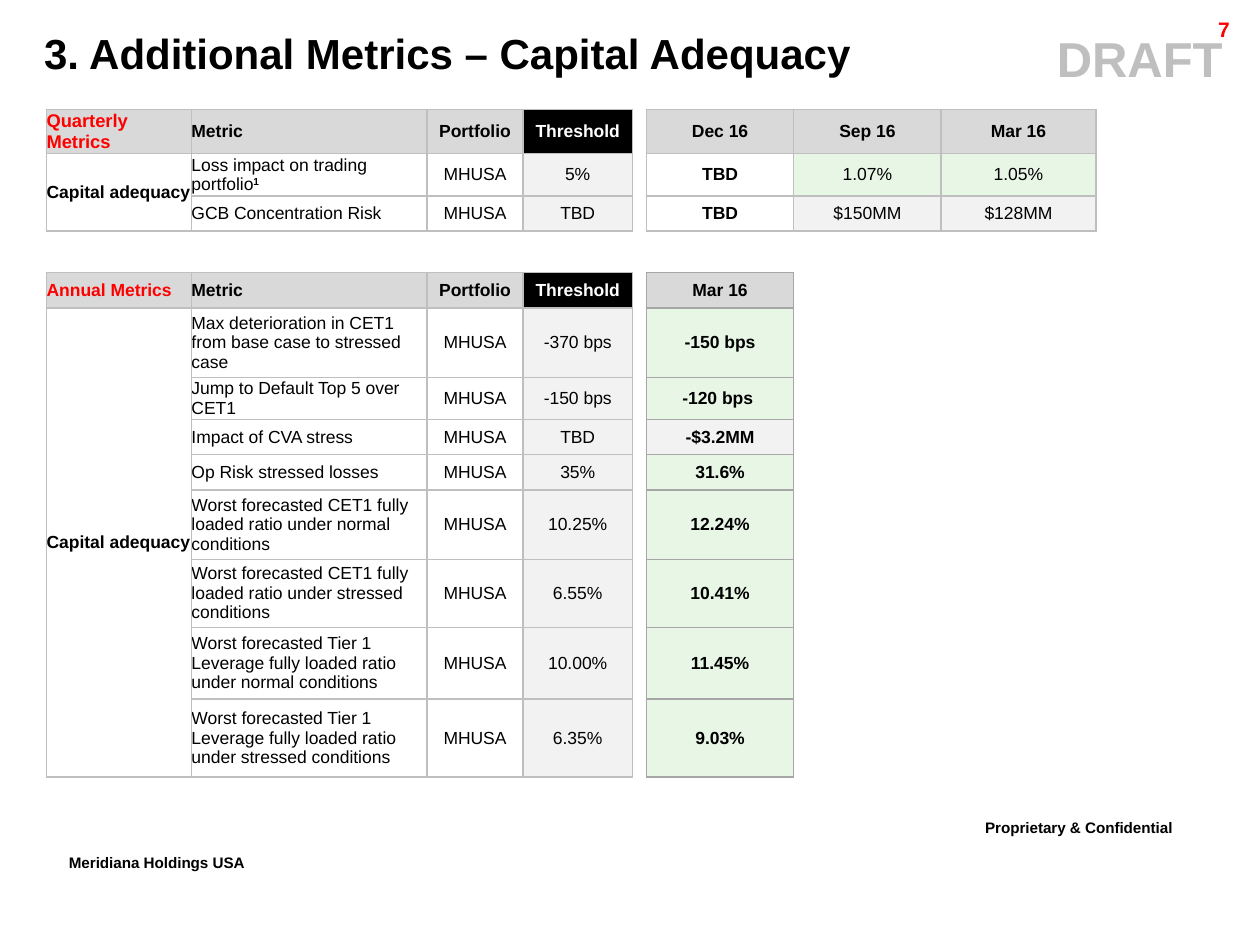
from lxml.etree import SubElement
from pptx import Presentation
from pptx.dml.color import RGBColor
from pptx.enum.text import MSO_ANCHOR, MSO_AUTO_SIZE, PP_ALIGN
from pptx.oxml.ns import qn
from pptx.util import Cm, Pt

COLORS = {
    "black": "000000", "white": "FFFFFF", "red": "FF0000",
    "header": "D9D9D9", "neutral": "F2F2F2", "good": "E8F6E6",
    "line": "BFBFBF", "annual_line": "A6A6A6", "draft": "BFBFBF",
}
FONT = "Arial"
SUPERSCRIPT = "30000"
NO_STYLE = "{2D5ABB26-0587-4C30-8999-92F81FD0307C}"
COLUMN_WIDTHS = [2.92, 4.75, 1.93, 2.21, 0.28, 2.97, 2.97, 3.12]
ROW_HEIGHTS = [0.74, 0.71, 0.71, 0.84, 0.71, 1.4, 0.71, 0.71, 0.71, 1.4, 1.37, 1.45, 1.57]
FIRST_VALUE_COLUMN = 5
PORTFOLIO = "MHUSA"
HEADINGS = ["Metric", "Portfolio", "Threshold"]

QUARTERLY = [
    ("Loss impact on trading portfolio", "5%",
     [("TBD", None), ("1.07%", "good"), ("1.05%", "good")]),
    ("GCB Concentration Risk", "TBD",
     [("TBD", None), ("$150MM", "neutral"), ("$128MM", "neutral")]),
]
ANNUAL = [
    ("Max deterioration in CET1 from base case to stressed case", "-370 bps", [("-150 bps", "good")]),
    ("Jump to Default Top 5 over CET1", "-150 bps", [("-120 bps ", "good")]),
    ("Impact of CVA stress", "TBD", [("-$3.2MM", "neutral")]),
    ("Op Risk stressed losses", "35%", [("31.6%", "good")]),
    ("Worst forecasted CET1 fully loaded ratio under normal conditions", "10.25%", [("12.24%", "good")]),
    ("Worst forecasted CET1 fully loaded ratio under stressed conditions", "6.55%", [("10.41%", "good")]),
    ("Worst forecasted Tier 1 Leverage fully loaded ratio under normal conditions", "10.00%",
     [("11.45%", "good")]),
    ("Worst forecasted Tier 1 Leverage fully loaded ratio under stressed conditions", "6.35%",
     [("9.03%", "good")]),
]


def rgb(name):
    return RGBColor.from_string(COLORS[name])


def format_run(run, size, color="black", bold=True):
    run.font.name = FONT
    run.font.size = Pt(size)
    run.font.bold = bold
    run.font.color.rgb = rgb(color)


def raise_run(run):
    run.font._element.set("baseline", SUPERSCRIPT)


def add_text(slide, text, left, top, width, height, size, color="black", wrap=True, grow=True):
    shape = slide.shapes.add_textbox(Cm(left), Cm(top), Cm(width), Cm(height))
    text_frame = shape.text_frame
    text_frame.text = text
    text_frame.word_wrap = wrap
    text_frame.auto_size = MSO_AUTO_SIZE.SHAPE_TO_FIT_TEXT if grow else MSO_AUTO_SIZE.NONE
    paragraph = text_frame.paragraphs[0]
    format_run(paragraph.runs[0], size, color)
    return paragraph


def set_borders(cell, color):
    properties = cell._tc.get_or_add_tcPr()
    for side in ("a:lnL", "a:lnR", "a:lnT", "a:lnB"):
        line = SubElement(properties, qn(side), w=str(Pt(1)))
        fill = SubElement(line, qn("a:solidFill"))
        SubElement(fill, qn("a:srgbClr"), val=COLORS[color])


def write_cell(cell, text, size=10, color="black", bold=False, fill=None, centered=True, line="line"):
    set_borders(cell, line)
    if fill:
        cell.fill.solid()
        cell.fill.fore_color.rgb = rgb(fill)
    cell.text_frame.text = text
    paragraph = cell.text_frame.paragraphs[0]
    paragraph.alignment = PP_ALIGN.CENTER if centered else PP_ALIGN.LEFT
    paragraph.space_before = paragraph.space_after = Pt(2)
    format_run(paragraph.runs[0], size, color, bold)


def write_section(table, top, title, title_size, dates, metrics, value_line, bold_values):
    write_cell(table.cell(top, 0), title, title_size, "red", True, "header", False)
    for column, heading in enumerate(HEADINGS, 1):
        dark = heading == "Threshold"
        write_cell(table.cell(top, column), heading, color="white" if dark else "black", bold=True,
                   fill="black" if dark else "header", centered=heading != "Metric")
    for column, date in enumerate(dates, FIRST_VALUE_COLUMN):
        write_cell(table.cell(top, column), date, bold=True, fill="header", line=value_line)

    for row, (metric, threshold, values) in enumerate(metrics, top + 1):
        if row > top + 1:
            set_borders(table.cell(row, 0), "line")
        write_cell(table.cell(row, 1), metric, centered=False)
        write_cell(table.cell(row, 2), PORTFOLIO)
        write_cell(table.cell(row, 3), threshold, fill="neutral")
        for column, (value, fill) in enumerate(values, FIRST_VALUE_COLUMN):
            write_cell(table.cell(row, column), value, bold=bold_values or fill is None,
                       fill=fill, line=value_line)

    category = table.cell(top + 1, 0)
    write_cell(category, "Capital adequacy", bold=True, centered=False)
    category.merge(table.cell(top + len(metrics), 0))


def add_metrics_table(slide):
    frame = slide.shapes.add_table(len(ROW_HEIGHTS), len(COLUMN_WIDTHS), Cm(0.94), Cm(2.21),
                                   Cm(sum(COLUMN_WIDTHS)), Cm(sum(ROW_HEIGHTS)))
    table = frame.table
    table.first_row = table.horz_banding = False
    table._tbl.tblPr.find(qn("a:tableStyleId")).text = NO_STYLE
    for column, width in zip(table.columns, COLUMN_WIDTHS):
        column.width = Cm(width)
    for row, height in zip(table.rows, ROW_HEIGHTS):
        row.height = Cm(height)

    for cell in table.iter_cells():
        cell.margin_left = cell.margin_right = cell.margin_top = cell.margin_bottom = 0
        cell.vertical_anchor = MSO_ANCHOR.MIDDLE
    write_section(table, 0, "Quarterly Metrics", 10.5, ["Dec 16", "Sep 16", "Mar 16"],
                  QUARTERLY, "line", False)
    write_section(table, 4, "Annual Metrics", 10, ["Mar 16"], ANNUAL, "annual_line", True)

    footnote = table.cell(1, 1).text_frame.paragraphs[0].add_run()
    footnote.text = "1"
    format_run(footnote, 10)
    raise_run(footnote)
    for cell in table.iter_cells():
        if not cell.text_frame.text:
            SubElement(cell.text_frame.paragraphs[0]._p, qn("a:endParaRPr"), sz="1000")


def main():
    presentation = Presentation()
    presentation.slide_width = Cm(25.4)
    presentation.slide_height = Cm(19.05)
    slide = presentation.slides.add_slide(presentation.slide_layouts[6])

    confidential = add_text(slide, "Proprietary & Confidential", 19.61, 16.31, 5.54, 0.89, 15)
    company = add_text(slide, "Meridiana Holdings USA", 1.14, 17.02, 4.85, 0.89, 15, wrap=False)
    for paragraph in (confidential, company):
        raise_run(paragraph.runs[0])

    draft = add_text(slide, "DRAFT", 2.92, 0.46, 22.33, 1.45, 28, "draft")
    draft.alignment = PP_ALIGN.CENTER
    draft._p.get_or_add_pPr().set("marL", str(Cm(17.78)))

    page_number = add_text(slide, "7", 22.63, 0.28, 2.41, 0.61, 12, "red", grow=False)
    page_number.alignment = PP_ALIGN.RIGHT
    page_number.line_spacing = 0.86

    add_text(slide, "3. Additional Metrics – Capital Adequacy", 0.64, 0.43, 23.75, 1.27, 24)
    add_metrics_table(slide)
    presentation.save("out.pptx")


if __name__ == "__main__":
    main()
